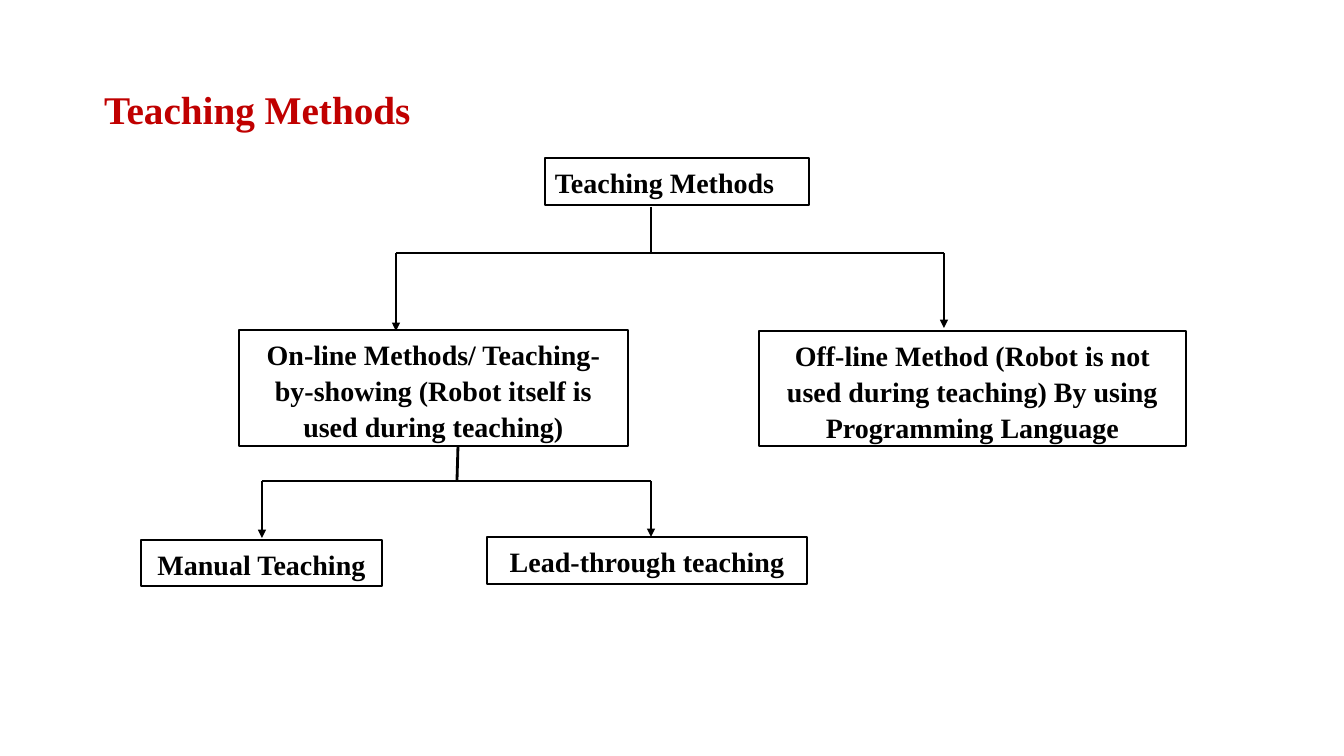
from dataclasses import dataclass

from lxml import etree
from pptx import Presentation
from pptx import util as u
from pptx.dml.color import RGBColor
from pptx.enum import shapes, text
from pptx.oxml.ns import qn

# Content: lengths in px
SIZE = (1344, 756)
TITLE = ("Teaching Methods", (94, 77, 330, 57))
BOXES = [  # words, (left, top, width, height), alignment
    ("Teaching Methods", (545, 158, 264, 47), "LEFT"),
    ("On-line Methods/ Teaching-by-showing (Robot itself is used during teaching)",
     (239, 330, 389, 116), "CENTER"),
    ("Off-line Method (Robot is not used during teaching) By using Programming Language",
     (759, 331, 427, 115), "CENTER"),
    ("Manual Teaching", (141, 540, 241, 46), "CENTER"),
    ("Lead-through teaching", (487, 537, 320, 47), "CENTER"),
]
FORKS = [  # stem top, stem foot, (left drop, tip), (right drop, tip)
    ((651, 207), (651, 253), (396, 331), (944, 328)),
    ((458, 447), (457, 481), (262, 538), (651, 537)),
]


@dataclass(frozen=True)
class Theme:
    font: str = "Times New Roman"
    ink: RGBColor = RGBColor(0, 0, 0)
    paper: RGBColor = RGBColor(255, 255, 255)
    title: RGBColor = RGBColor(0xC0, 0, 0)
    head: int = 28
    body: int = 20
    edge: int = 1
    rule: int = 2


LOOK = Theme()


def px(n):
    return u.Emu(round(n * 914400 / 100.8))


def write(frame, words, align, size, color):
    frame.vertical_anchor = text.MSO_ANCHOR.TOP
    frame.margin_left = frame.margin_right = u.Inches(0.1)
    frame.margin_top = frame.margin_bottom = u.Inches(0.05)
    para = frame.paragraphs[0]
    para.alignment = align
    para.line_spacing = 1.07
    para.space_before = u.Pt(0)
    para.space_after = u.Pt(8)
    run = para.add_run()
    run.text = words
    font = run.font
    font.name, font.size, font.bold = LOOK.font, u.Pt(size), True
    font.color.rgb = color


def add_title(slide):
    words, area = TITLE
    head = slide.shapes.title
    head.left, head.top, head.width, head.height = map(px, area)
    head.text_frame.word_wrap = False
    head.text_frame.auto_size = text.MSO_AUTO_SIZE.SHAPE_TO_FIT_TEXT
    write(head.text_frame, words, text.PP_ALIGN.JUSTIFY, LOOK.head, LOOK.title)


def add_box(slide, words, area, align):
    box = slide.shapes.add_shape(shapes.MSO_SHAPE.RECTANGLE, *map(px, area))
    box.shadow.inherit = False
    box.fill.solid()
    box.fill.fore_color.rgb = LOOK.paper
    box.line.color.rgb = LOOK.ink
    box.line.width = u.Pt(LOOK.edge)
    box.text_frame.word_wrap = True
    write(box.text_frame, words, text.PP_ALIGN[align], LOOK.body, LOOK.ink)


def add_line(slide, start, end, arrow=False):
    line = slide.shapes.add_connector(
        shapes.MSO_CONNECTOR.STRAIGHT, *map(px, start + end))
    line.line.color.rgb = LOOK.ink
    line.line.width = u.Pt(LOOK.rule)
    props = line._element.spPr
    if arrow:
        etree.SubElement(props.find(qn("a:ln")), qn("a:tailEnd"), type="triangle")
    etree.SubElement(props, qn("a:effectLst"))


def add_fork(slide, top, foot, left, right):
    """Draw a stem, its crossbar, and an arrow down from each end."""
    bar = foot[1]
    add_line(slide, top, foot)
    add_line(slide, (left[0], bar), (right[0], bar))
    for tip in (left, right):
        add_line(slide, (tip[0], bar), tip, arrow=True)


def main():
    deck = Presentation()
    deck.slide_width, deck.slide_height = map(px, SIZE)
    slide = deck.slides.add_slide(deck.slide_layouts[5])
    add_title(slide)
    for box in BOXES:
        add_box(slide, *box)
    for fork in FORKS:
        add_fork(slide, *fork)
    deck.save("out.pptx")


if __name__ == "__main__":
    main()
